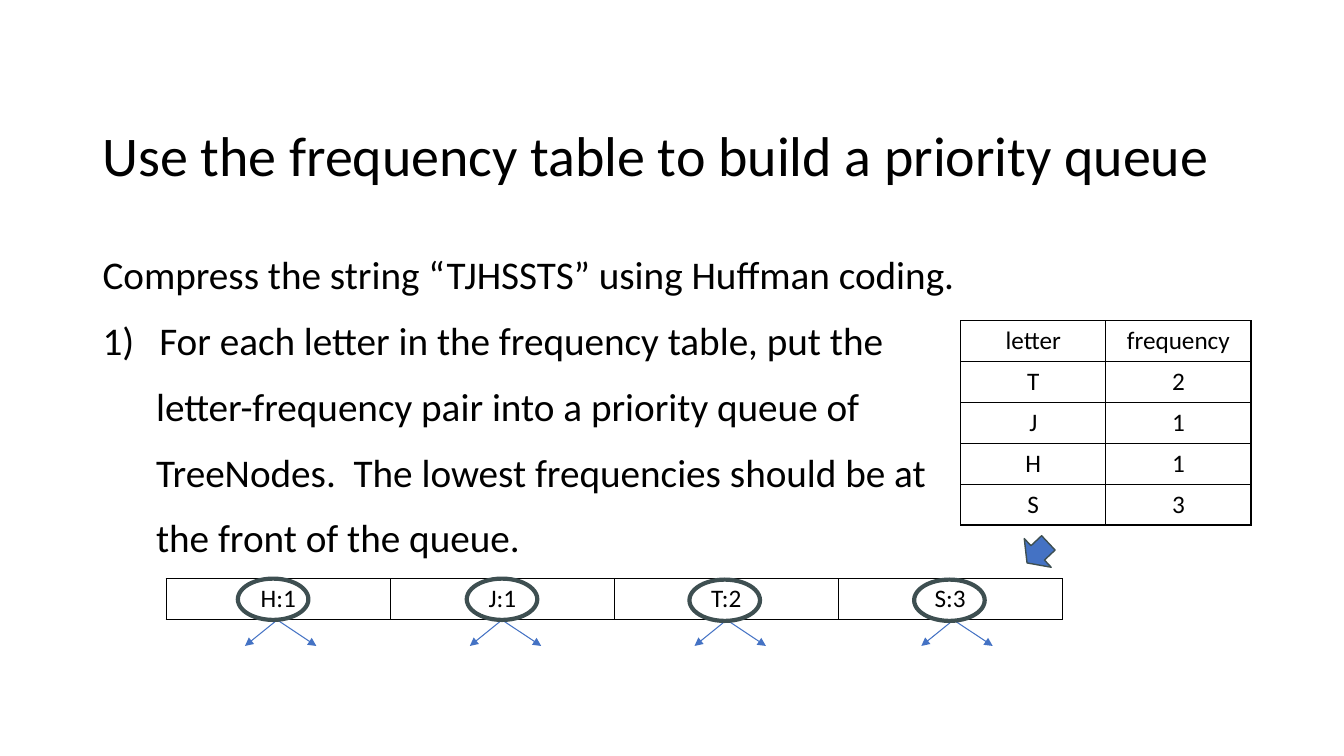
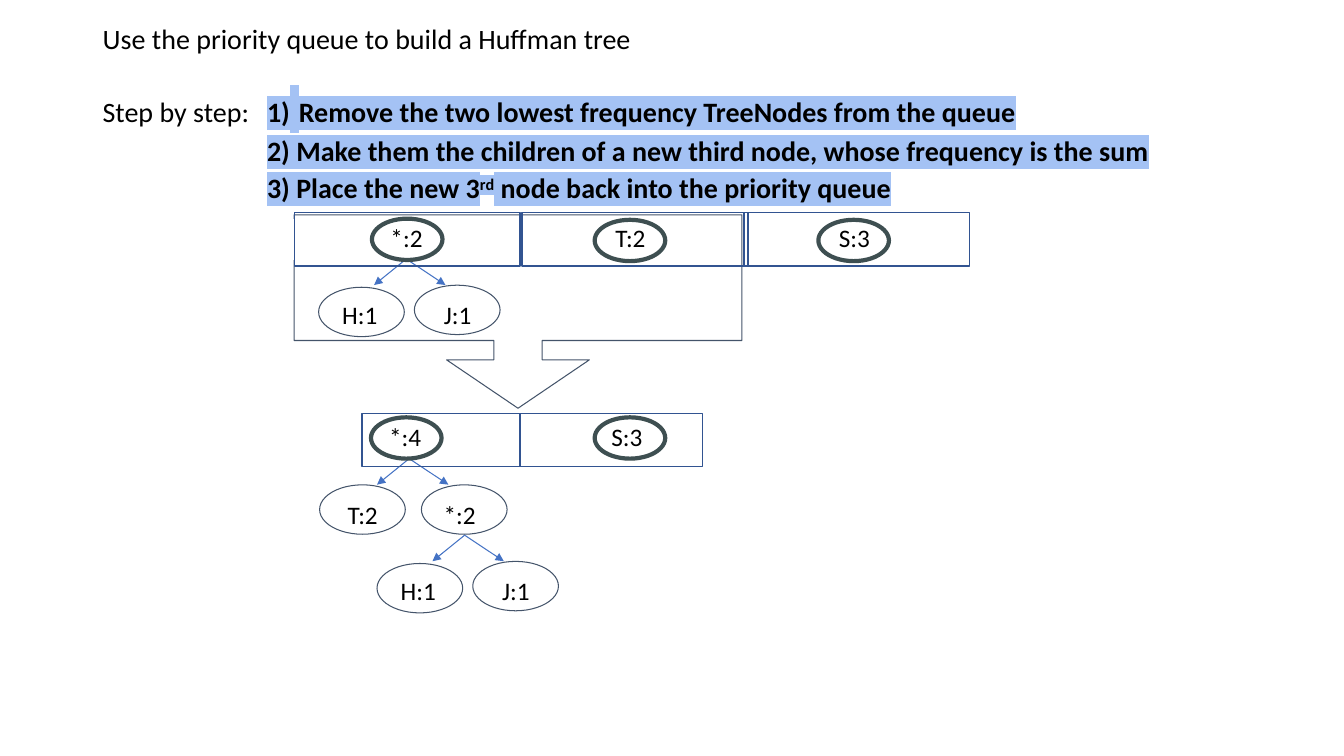
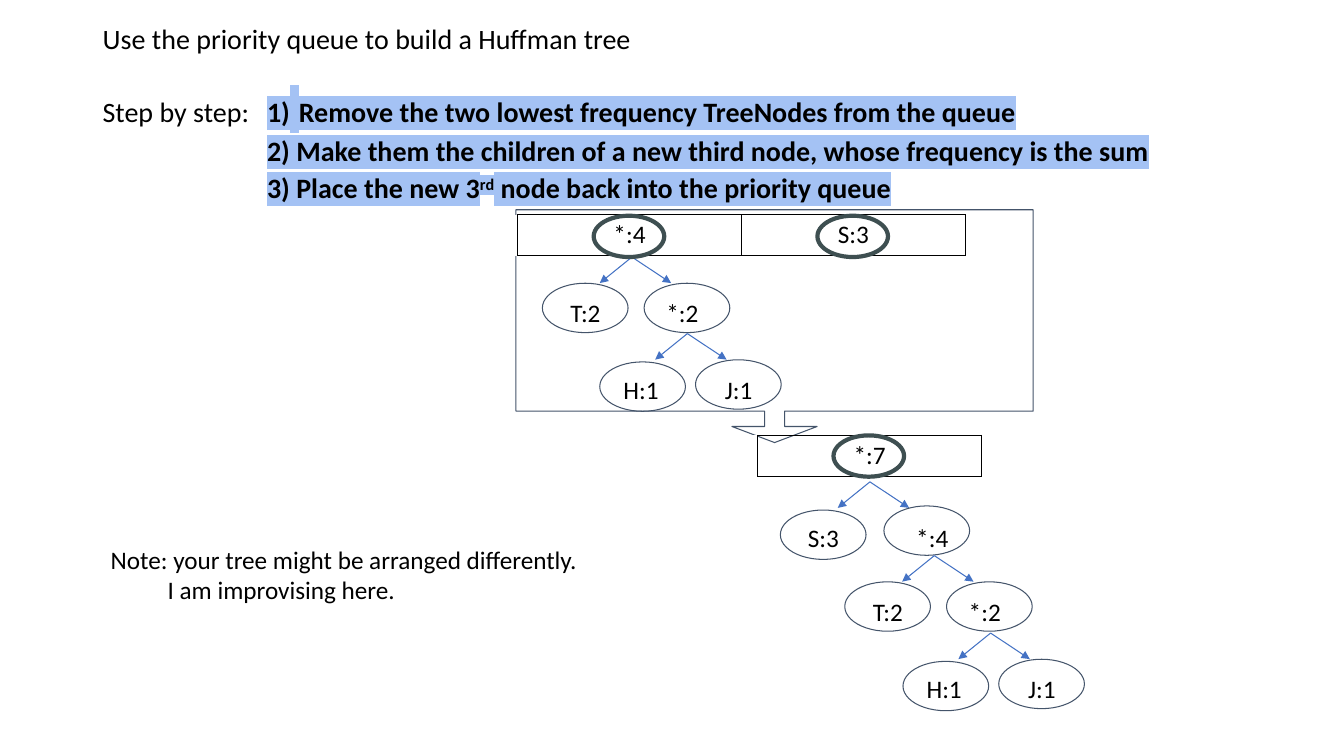
from lxml import etree
from pptx import Presentation
from pptx.dml.color import RGBColor
from pptx.enum.shapes import MSO_CONNECTOR, MSO_SHAPE
from pptx.enum.text import MSO_ANCHOR, PP_ALIGN
from pptx.oxml.ns import qn
from pptx.util import Pt

LEFT, CENTER = PP_ALIGN.LEFT, PP_ALIGN.CENTER
TOP, MIDDLE = MSO_ANCHOR.TOP, MSO_ANCHOR.MIDDLE
OVAL, RECT = MSO_SHAPE.OVAL, MSO_SHAPE.RECTANGLE
ARROW, CALLOUT = MSO_SHAPE.DOWN_ARROW, MSO_SHAPE.DOWN_ARROW_CALLOUT
STRAIGHT = MSO_CONNECTOR.STRAIGHT

color = RGBColor.from_string
FONT = "Calibri"
BLACK, WHITE, BLUE = "000000", "FFFFFF", "4472C4"
RING, NODE, FRAME, MARK = "3E4F51", "44546A", "325491", "A4C2F4"
NO_GRID = "{2D5ABB26-0587-4C30-8999-92F81FD0307C}"
ROW_H = 29.2


def write(tf, paras, size, anchor=TOP, inset=(7.2, 3.6), **fmt):
    frame = {"word_wrap": True, "vertical_anchor": anchor,
             "margin_left": Pt(inset[0]), "margin_right": Pt(inset[0]),
             "margin_top": Pt(inset[1]), "margin_bottom": Pt(inset[1])}
    for key, value in frame.items():
        setattr(tf, key, value)
    for i, (runs, margin, indent, extra) in enumerate(paras):
        p = tf.paragraphs[0] if i == 0 else tf.add_paragraph()
        for key, value in {"alignment": LEFT, **fmt, **extra}.items():
            setattr(p, key, value)
        pPr = p._p.get_or_add_pPr()
        pPr.set("marL", str(Pt(margin)))
        pPr.set("indent", str(Pt(indent)))
        for text, look in runs:
            r = p.add_run()
            r.text = text
            r.font.size = Pt(look.get("size", size))
            r.font.bold = "mark" in look
            r.font.color.rgb = color(BLACK)
            rPr = r._r.get_or_add_rPr()
            if "mark" in look:
                mark = etree.SubElement(rPr, qn("a:highlight"))
                etree.SubElement(mark, qn("a:srgbClr"), val=look["mark"])
            if "raised" in look:
                rPr.set("baseline", look["raised"])
            r.font.name = FONT


def draw(s, kind, box, line, width, adjust=(), fill=None):
    sp = s.shapes.add_shape(kind, *map(Pt, box))
    sp.shadow.inherit = False
    for i, value in enumerate(adjust):
        sp.adjustments[i] = value
    if fill:
        sp.fill.solid()
        sp.fill.fore_color.rgb = color(fill)
    else:
        sp.fill.background()
    sp.line.color.rgb = color(line)
    sp.line.width = Pt(width)
    return sp


INTRO = [
    ([("Compress the string “TJHSSTS” using Huffman coding.", {})], 0, 0, {"space_before": Pt(0)}),
    ([("For each letter in the frequency table, put the", {})], 40.5, -40.5, {}),
    ([("letter-frequency pair into a priority queue of", {})], 38.2, 0, {}),
    ([("TreeNodes.  The lowest frequencies should be at", {})], 38.2, 0, {}),
    ([("the front of the queue.", {})], 38.2, 0, {}),
]
marked = {"mark": MARK}
STEPS = [
    ([("Step by step:\t", {}), ("1)", marked), (" ", {"size": 28, **marked}),
      ("Remove the two lowest frequency TreeNodes from the queue", marked)], 117.5, -117.5, {}),
    ([("2) Make them the children of a new third node, whose frequency is the sum", marked)],
     117.5, 0, {}),
    ([("3) Place the new 3", marked), ("rd", {"raised": "30000", **marked}),
      (" node back into the priority queue", marked)], 117.5, 0, {}),
]
NOTE = [
    ([("Note: your tree might be arranged differently.", {})], 0, 0, {}),
    ([("I am improvising here.", {})], 40.7, 0, {}),
]

# label, label x, oval x, oval y, all measured from the tip of the fork
PAIRS = {
    "leaves": [("H:1", -60.5, -62.6, 20.2), ("J:1", 9.3, 5.8, 18.7)],
    "two": [("T:2", -60.5, -64, 18.7), ("*:2", 8.7, 8.7, 18.7)],
    "four": [("S:3", -60.5, -64, 20.1), ("*:4", 17.2, 10, 17.2)],
    "empty": [],
}

STEP_PAGE = {
    "title": ("Use the priority queue to build a Huffman tree", 20, (66.2, 0, 736.6, 55.4)),
    "body": (STEPS, 20, (66.2, 52.6, 828, 97.2), 0),
}
SLIDES = [
    {
        "title": ("Use the frequency table to build a priority queue", 40, (66.2, 57.6, 828, 104.4)),
        "body": (INTRO, 28, (66.2, 172.1, 828, 301), 10),
        "tables": [
            (686.2, 229, 103.7, [["letter", "frequency"], ["T", "2"], ["J", "1"], ["H", "1"], ["S", "3"]], True),
            (118.8, 413.3, 160, [["H:1", "J:1", "T:2", "S:3"]], True),
        ],
        "forks": [(198, 442.8, "empty"), (358.6, 442.8, "empty"),
                  (519.1, 442.8, "empty"), (681.1, 442.8, "empty")],
        "rings": [(169.9, 413.3), (333.4, 413.3), (492.5, 414), (653, 414)],
    },
    {
        **STEP_PAGE,
        "callout": ((210.2, 153.4, 319.7, 138.2), (0.25, 0.369, 0.25, 0.65)),
        "tables": [(50.4, 156.2, 160, [["", "*:2", "T:2", "S:3"]], False)],
        "forks": [(290.2, 185, "leaves"), (292.3, 327.6, "two"), (331.9, 382.3, "leaves")],
        "rings": [(265.7, 156.2), (424.8, 157), (584.6, 157), (265, 298.1), (424.8, 298.1)],
        "labels": [("*:4", 262.1, 293.8), ("S:3", 420.5, 293.8)],
        "frames": [(258.5, 295.2, 113), (371.5, 295.2, 130.3),
                   (210.2, 151.9, 161.3), (373, 151.9, 161.3), (531.4, 151.9, 161.3)],
    },
    {
        **STEP_PAGE,
        "callout": ((368.6, 149.8, 369.4, 166.3), (0.086, 0.183, 0.069, 0.865)),
        "tables": [(49.7, 153.4, 160, [["", "", "*:4", "S:3"]], True),
                   (61.2, 311, 160, [["", "", "", "*:7"]], True)],
        "forks": [(451.4, 183.6, "two"), (491, 238.3, "leaves"), (621.4, 344.2, "four"),
                  (667.4, 396.9, "two"), (707.6, 452.2, "leaves")],
        "rings": [(424.1, 154.1), (583.9, 154.1), (595.4, 311)],
    },
]

prs = Presentation()
prs.slide_width, prs.slide_height = Pt(960), Pt(540)

for page in SLIDES:
    s = prs.slides.add_slide(prs.slide_layouts[5])
    text, size, box = page["title"]
    title = s.shapes.title
    for key, value in zip(("left", "top", "width", "height"), box):
        setattr(title, key, Pt(value))
    write(title.text_frame, [([(text, {})], 0, 0, {})], size, MIDDLE)

    paras, size, box, gap = page["body"]
    body = s.shapes.add_textbox(*map(Pt, box))
    write(body.text_frame, paras, size, line_spacing=1.1, space_before=Pt(gap))
    if paras is INTRO:
        pPr = body.text_frame.paragraphs[1]._p.get_or_add_pPr()
        etree.SubElement(pPr, qn("a:buAutoNum"), type="arabicParenR")

    if "callout" in page:
        box, adjust = page["callout"]
        draw(s, CALLOUT, box, NODE, 0.75, adjust)

    for x, y, col_w, rows, grid in page["tables"]:
        cols = len(rows[0])
        table = s.shapes.add_table(len(rows), cols, Pt(x), Pt(y),
                                   Pt(col_w * cols), Pt(ROW_H * len(rows))).table
        table.first_row = table.horz_banding = False
        table._tbl.tblPr.find(qn("a:tableStyleId")).text = NO_GRID
        for col in table.columns:
            col.width = Pt(col_w)
        for i, row in enumerate(rows):
            table.rows[i].height = Pt(ROW_H)
            for j, text in enumerate(row):
                cell = table.cell(i, j)
                if not text:
                    cell.fill.solid()
                    cell.fill.fore_color.rgb = color(WHITE)
                    continue
                cell.fill.background()
                write(cell.text_frame, [([(text, {})], 0, 0, {})], 18, alignment=CENTER)
                tcPr = cell._tc.get_or_add_tcPr()
                for k, side in enumerate(("lnL", "lnR", "lnT", "lnB") if grid else ()):
                    ln = etree.Element(qn("a:" + side), w=str(Pt(1)))
                    fill = etree.SubElement(ln, qn("a:solidFill"))
                    etree.SubElement(fill, qn("a:srgbClr"), val=BLACK)
                    tcPr.insert(k, ln)

    labels = [(text, x, y, 36) for text, x, y in page.get("labels", [])]
    for x, y, pair in page["forks"]:
        for dx in (-23, 28):
            line = s.shapes.add_connector(STRAIGHT, Pt(x), Pt(y), Pt(x + dx), Pt(y + 18.6))
            line.line.color.rgb = color(BLUE)
            line.line.width = Pt(0.75)
            etree.SubElement(line.line._get_or_add_ln(), qn("a:tailEnd"), type="triangle")
            etree.SubElement(line._element.spPr, qn("a:effectLst"))
        for text, label_dx, oval_dx, oval_dy in PAIRS[pair]:
            draw(s, OVAL, (x + oval_dx, y + oval_dy, 61.2, 35.3), NODE, 0.75)
            labels.append((text, x + label_dx, y + 21.6, 31.7))

    for x, y in page["rings"]:
        draw(s, OVAL, (x, y, 50.4, 29.5), RING, 3)
    for x, y, w in page.get("frames", []):
        draw(s, RECT, (x, y, w, 38.2), FRAME, 1)
    for text, x, y, h in labels:
        label = s.shapes.add_textbox(Pt(x), Pt(y), Pt(54.7), Pt(h))
        write(label.text_frame, [([(text, {})], 0, 0, {})], 18, inset=(7.2, 7.2), alignment=CENTER)

first, _, last = prs.slides
arrow = draw(first, ARROW, (727.2, 384.5, 28.1, 20.9), RING, 1, (0.5, 0.5), BLUE)
arrow.rotation = 46.8
note = last.shapes.add_textbox(Pt(72), Pt(381.6), Pt(436.3), Pt(48.2))
write(note.text_frame, NOTE, 18, inset=(7.2, 7.2))

prs.save("out.pptx")
